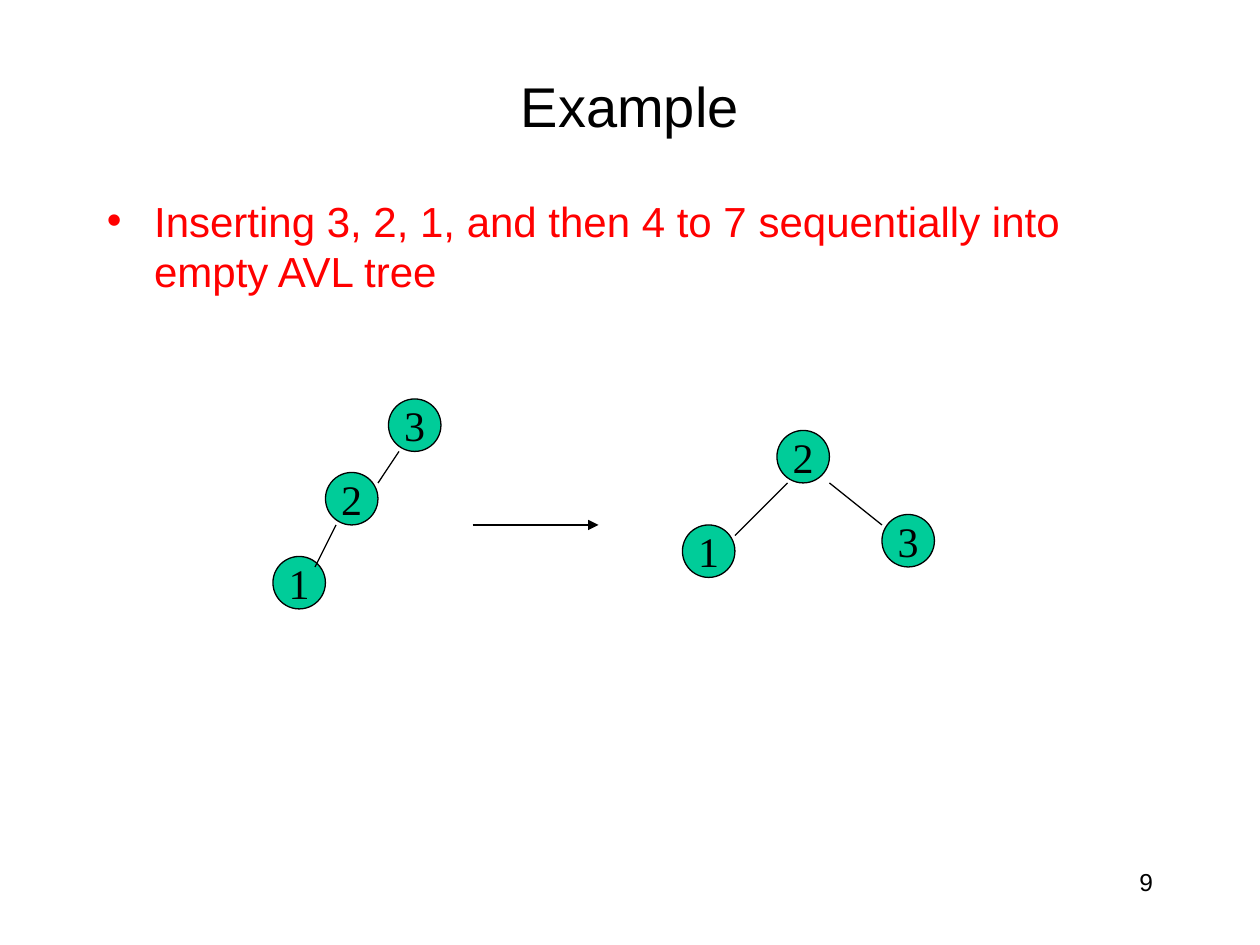
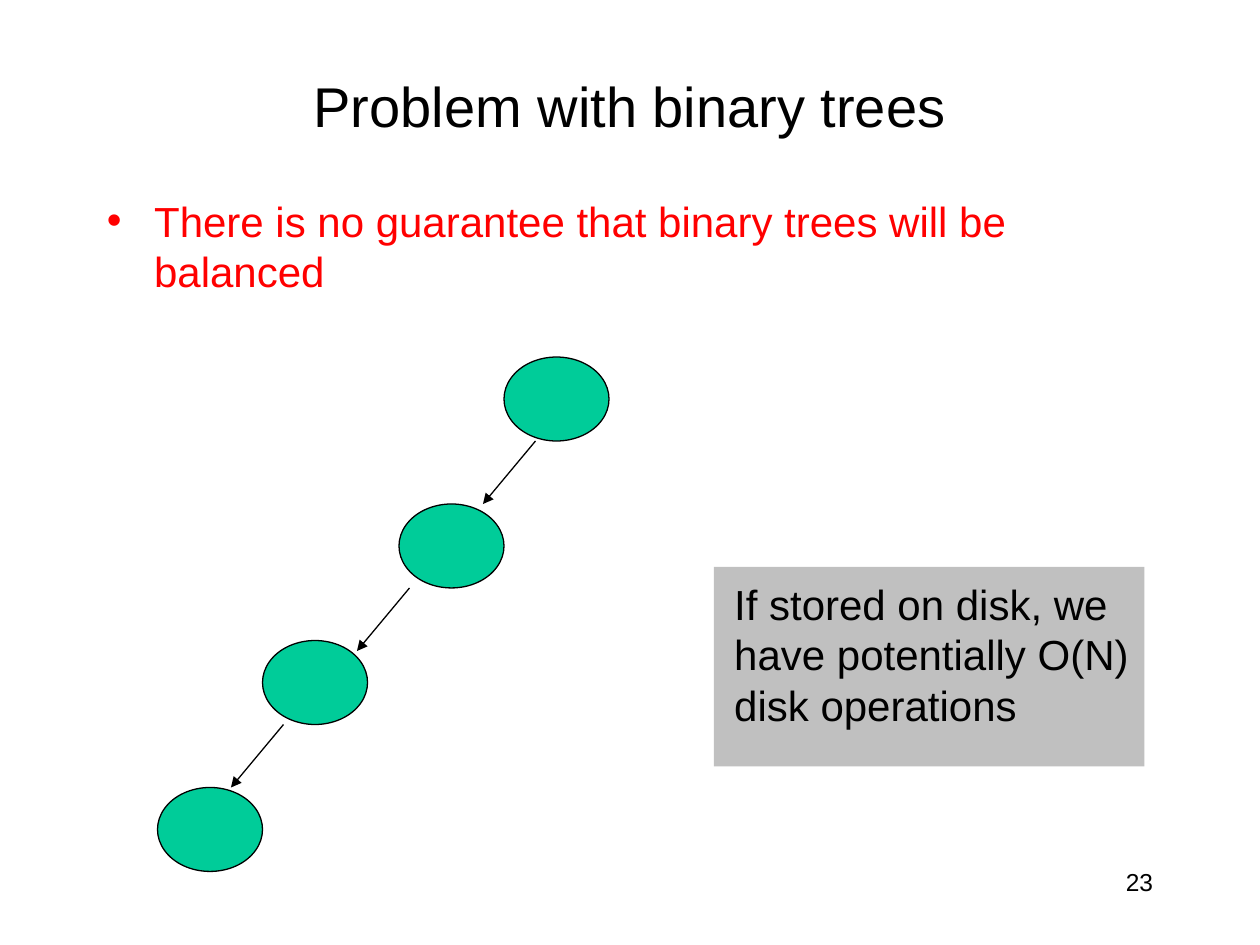
import pptx
import pptx.dml.color
import pptx.enum.shapes
import pptx.enum.text
import pptx.oxml
import pptx.util
from dataclasses import dataclass
from lxml import etree

Pt = pptx.util.Pt
Shape = pptx.enum.shapes.MSO_SHAPE
Align = pptx.enum.text.PP_ALIGN
Anchor = pptx.enum.text.MSO_ANCHOR
NS = "http://schemas.openxmlformats.org/drawingml/2006/main"


@dataclass(frozen=True)
class Theme:
    """Colours, fonts and sizes shared by the slides."""
    ink: str = "000000"
    point: str = "FF0000"
    node: str = "00CC99"
    panel: str = "C0C0C0"
    sans: str = "Arial"
    serif: str = "Times New Roman"
    head: int = 32
    text: int = 24
    foot: int = 14
    line: float = 0.75


THEME = Theme()


def tint(code):
    """Turn a hex code into a colour."""
    return pptx.dml.color.RGBColor.from_string(code)


def tag(parent, name, **attrs):
    """Append a drawing element to a parent."""
    return etree.SubElement(parent, f"{{{NS}}}{name}", **attrs)


def write(frame, lines, size, color=THEME.ink, font=THEME.sans,
          align=Align.LEFT, anchor=Anchor.TOP, wrap=True, dot=False):
    """Fill a text frame, one paragraph to a line."""
    frame.word_wrap = wrap
    frame.vertical_anchor = anchor
    for i, line in enumerate(lines):
        para = frame.add_paragraph() if i else frame.paragraphs[0]
        para.alignment = align
        if dot:
            props = para._p.get_or_add_pPr()
            props.set("marL", str(Pt(27)))
            props.set("indent", str(-Pt(27)))
            tag(props, "buFont", typeface=THEME.sans)
            tag(props, "buChar", char="•")
        run = para.add_run()
        run.text = line
        run.font.size = Pt(size)
        run.font.name = font
        run.font.color.rgb = tint(color)


def label(slide, box, lines, size, **style):
    """Add a text box."""
    shape = slide.shapes.add_textbox(*map(Pt, box))
    write(shape.text_frame, lines, size, **style)


def block(slide, kind, box, fill, edge=None):
    """Add a filled shape, with or without an outline."""
    shape = slide.shapes.add_shape(kind, *map(Pt, box))
    shape.shadow.inherit = False
    shape.fill.solid()
    shape.fill.fore_color.rgb = tint(fill)
    if edge:
        shape.line.color.rgb = tint(edge)
        shape.line.width = Pt(THEME.line)
    else:
        shape.line.fill.background()
    return shape


def node(slide, x, y, wide, high, key=None):
    """Add a tree node, with its key if it has one."""
    shape = block(slide, Shape.OVAL, (x, y, wide, high), THEME.node, THEME.ink)
    if key:
        write(shape.text_frame, [key], THEME.text, font=THEME.serif,
              align=Align.CENTER, anchor=Anchor.MIDDLE, wrap=False)


def link(slide, start, end, arrow=False):
    """Join two points by a line or an arrow."""
    line = slide.shapes.add_connector(
        pptx.enum.shapes.MSO_CONNECTOR.STRAIGHT, *map(Pt, start + end))
    line.line.color.rgb = tint(THEME.ink)
    line.line.width = Pt(THEME.line)
    if arrow:
        tag(line.line._get_or_add_ln(), "tailEnd", type="triangle")
    tag(line._element.spPr, "effectLst")


def start(deck, title, point, page):
    """Add a slide with its title, bullet and page number."""
    slide = deck.slides.add_slide(deck.slide_layouts[6])
    label(slide, (516, 492, 150, 36), [page], THEME.foot, align=Align.RIGHT)
    label(slide, (54, 30, 612, 60), [title], THEME.head,
          align=Align.CENTER, anchor=Anchor.MIDDLE)
    label(slide, (54, 108, 612, 78), [point], THEME.text,
          color=THEME.point, dot=True)
    return slide


def insert(deck):
    """Show the first turn of the AVL tree."""
    slide = start(deck, "Example", "Inserting 3, 2, 1, and then 4 to 7 "
                  "sequentially into empty AVL tree", "9")
    chain = [("3", 222, 228), ("2", 186, 270), ("1", 156, 318)]
    fixed = [("2", 444, 246), ("1", 390, 300), ("3", 504, 294)]
    for key, x, y in chain + fixed:
        node(slide, x, y, 30, 30, key)
    for edge in [((228, 258), (216, 276)), ((192, 300), (180, 324)),
                 ((450, 276), (420, 306)), ((474, 276), (504, 300))]:
        link(slide, *edge)
    link(slide, (270, 300), (342, 300), arrow=True)


def skew(deck):
    """Show a tree that has grown to one side."""
    slide = start(deck, "Problem with binary trees", "There is no guarantee "
                  "that binary trees will be balanced", "23")
    wide, high = 60, 48
    for x, y in [(288, 204), (228, 288), (150, 366), (90, 450)]:
        node(slide, x, y, wide, high)
    for x, y in [(306, 252), (234, 336), (162, 414)]:
        link(slide, (x, y), (x - 30, y + 36), arrow=True)
    block(slide, Shape.RECTANGLE, (408, 324, 246, 114), THEME.panel)
    label(slide, (412.5, 327, 240.5, 93.5),
          ["If stored on disk, we", "have potentially O(N)",
           "disk operations"], THEME.text, wrap=False)


def main():
    """Build and save the deck."""
    deck = pptx.Presentation()
    deck.slide_width, deck.slide_height = Pt(720), Pt(540)
    insert(deck)
    skew(deck)
    deck.save("out.pptx")


if __name__ == "__main__":
    main()
